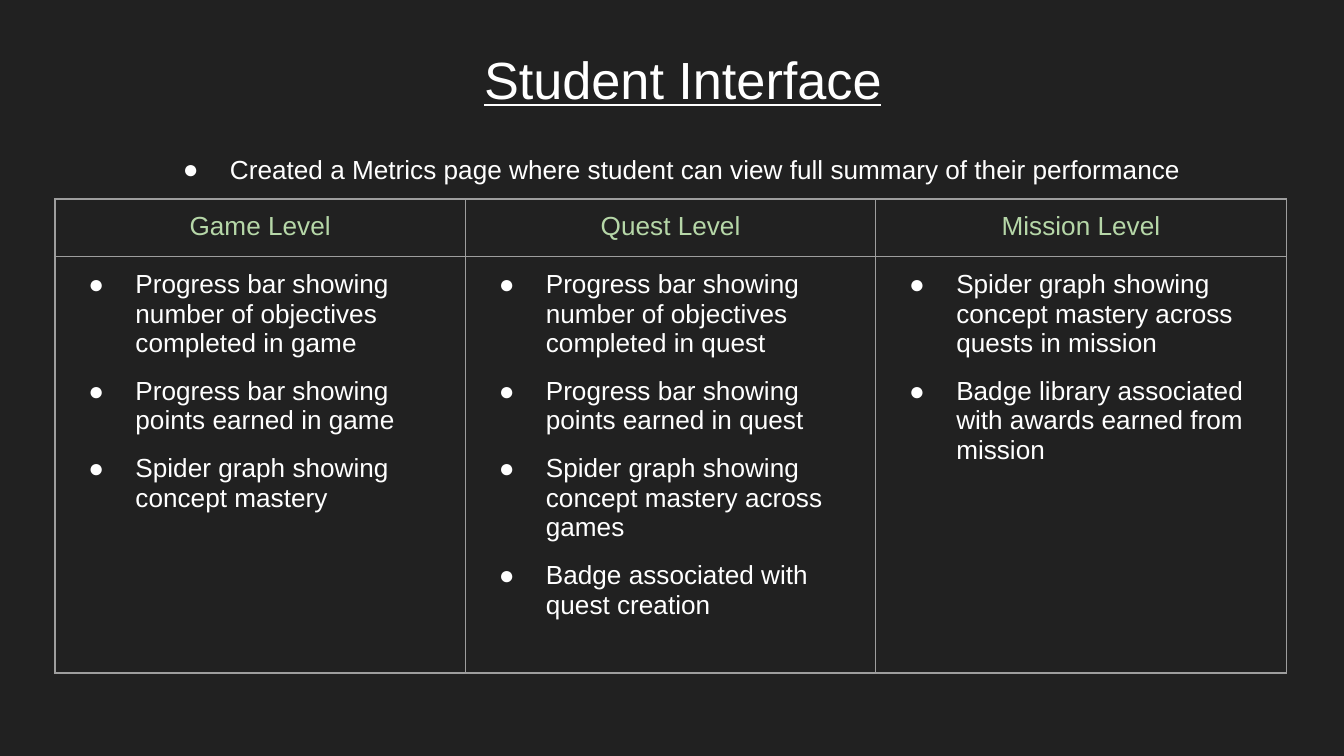
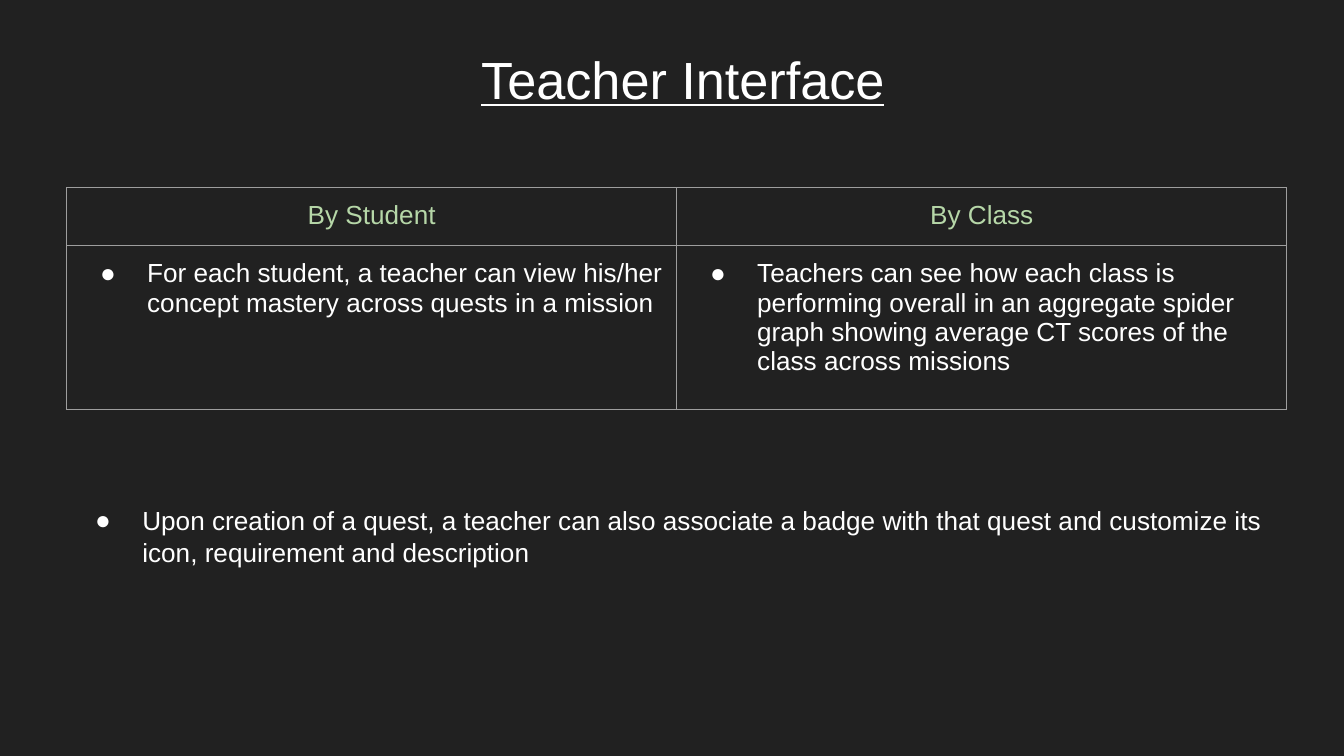
from lxml import etree
from pptx import Presentation
from pptx.dml.color import RGBColor
from pptx.enum.text import MSO_ANCHOR, PP_ALIGN
from pptx.oxml.ns import qn
from pptx.util import Cm, Pt

CENTER, LEFT = PP_ALIGN.CENTER, PP_ALIGN.LEFT
TOP, MIDDLE = MSO_ANCHOR.TOP, MSO_ANCHOR.MIDDLE

BACKGROUND = RGBColor(0x21, 0x21, 0x21)
WHITE = RGBColor(0xFF, 0xFF, 0xFF)
GREEN = RGBColor(0xB6, 0xD7, 0xA8)
GRID = RGBColor(0x9E, 0x9E, 0x9E)

FONT = "Arial"
INSET = Cm(0.25)
INDENT, HANG = Cm(1.27), Cm(0.89)
HEADER_HEIGHT = Cm(1.08)
TITLE_BOX = (Cm(1.07), Cm(0.64), Cm(23.67), Cm(1.6))

STUDENT_LEVELS = {
    "Game Level": [
        "Progress bar showing number of objectives completed in game",
        "Progress bar showing points earned in game",
        "Spider graph showing concept mastery",
    ],
    "Quest Level": [
        "Progress bar showing number of objectives completed in quest",
        "Progress bar showing points earned in quest",
        "Spider graph showing concept mastery across games",
        "Badge associated with quest creation",
    ],
    "Mission Level": [
        "Spider graph showing concept mastery across quests in mission",
        "Badge library associated with awards earned from mission",
    ],
}
TEACHER_VIEWS = {
    "By Student": [
        "For each student, a teacher can view his/her concept mastery "
        "across quests in a mission",
    ],
    "By Class": [
        "Teachers can see how each class is performing overall in an aggregate "
        "spider graph showing average CT scores of the class across missions",
    ],
}


def add_bullet(paragraph):
    properties = paragraph._p.get_or_add_pPr()
    properties.set("marL", str(INDENT))
    properties.set("indent", str(-HANG))
    colour = etree.SubElement(properties, qn("a:buClr"))
    etree.SubElement(colour, qn("a:srgbClr"), val=str(WHITE))
    etree.SubElement(properties, qn("a:buFont"), typeface=FONT)
    etree.SubElement(properties, qn("a:buChar"), char="●")


def write(frame, lines, size=14, color=WHITE, align=LEFT, bullet=False, underline=False):
    for number, line in enumerate(lines):
        paragraph = frame.add_paragraph() if number else frame.paragraphs[0]
        if bullet:
            add_bullet(paragraph)
        paragraph.alignment = align
        if number:
            paragraph.space_before = Pt(10)
        run = paragraph.add_run()
        run.text = line
        run.font.name = FONT
        run.font.size = Pt(size)
        run.font.color.rgb = color
        run.font.underline = underline
    if bullet:
        paragraph.space_after = Pt(10)


def set_insets(holder):
    holder.margin_left = holder.margin_right = INSET
    holder.margin_top = holder.margin_bottom = INSET


def add_text(slide, box, line, anchor=TOP, **style):
    frame = slide.shapes.add_textbox(*box).text_frame
    frame.word_wrap = True
    frame.vertical_anchor = anchor
    set_insets(frame)
    write(frame, [line], **style)


def outline(cell):
    cell.fill.background()
    properties = cell._tc.get_or_add_tcPr()
    for place, side in enumerate(("lnL", "lnR", "lnT", "lnB")):
        border = etree.Element(qn(f"a:{side}"), w=str(Pt(0.75)))
        fill = etree.SubElement(border, qn("a:solidFill"))
        etree.SubElement(fill, qn("a:srgbClr"), val=str(GRID))
        properties.insert(place, border)


def add_columns(slide, box, columns):
    left, top, width, height = box
    table = slide.shapes.add_table(2, len(columns), left, top, width, height).table
    table.first_row = table.horz_banding = False
    table.rows[0].height = HEADER_HEIGHT
    table.rows[1].height = height - HEADER_HEIGHT
    for index, (heading, points) in enumerate(columns.items()):
        table.columns[index].width = width // len(columns)
        header, body = table.cell(0, index), table.cell(1, index)
        for cell in (header, body):
            set_insets(cell)
            outline(cell)
        write(header.text_frame, [heading], color=GREEN, align=CENTER)
        write(body.text_frame, points, bullet=True)


def add_interface_slide(deck, title, columns, table_box, remark, remark_box, remark_align):
    slide = deck.slides.add_slide(deck.slide_layouts[6])
    slide.background.fill.solid()
    slide.background.fill.fore_color.rgb = BACKGROUND
    add_text(slide, TITLE_BOX, title, size=28, align=CENTER, underline=True)
    add_columns(slide, table_box, columns)
    add_text(slide, remark_box, remark, anchor=MIDDLE, align=remark_align, bullet=True)


def main():
    deck = Presentation()
    deck.slide_width, deck.slide_height = Cm(25.4), Cm(14.29)
    add_interface_slide(
        deck, "Student Interface", STUDENT_LEVELS,
        (Cm(1.04), Cm(3.76), Cm(23.27), Cm(8.95)),
        "Created a Metrics page where student can view full summary of their performance",
        (Cm(1.17), Cm(2.51), Cm(23.06), Cm(1.37)), CENTER,
    )
    add_interface_slide(
        deck, "Teacher Interface", TEACHER_VIEWS,
        (Cm(1.26), Cm(3.55), Cm(23.06), Cm(4.18)),
        "Upon creation of a quest, a teacher can also associate a badge with that quest "
        "and customize its icon, requirement and description",
        (Cm(1.17), Cm(8.23), Cm(23.06), Cm(3.81)), LEFT,
    )
    deck.save("out.pptx")


if __name__ == "__main__":
    main()
